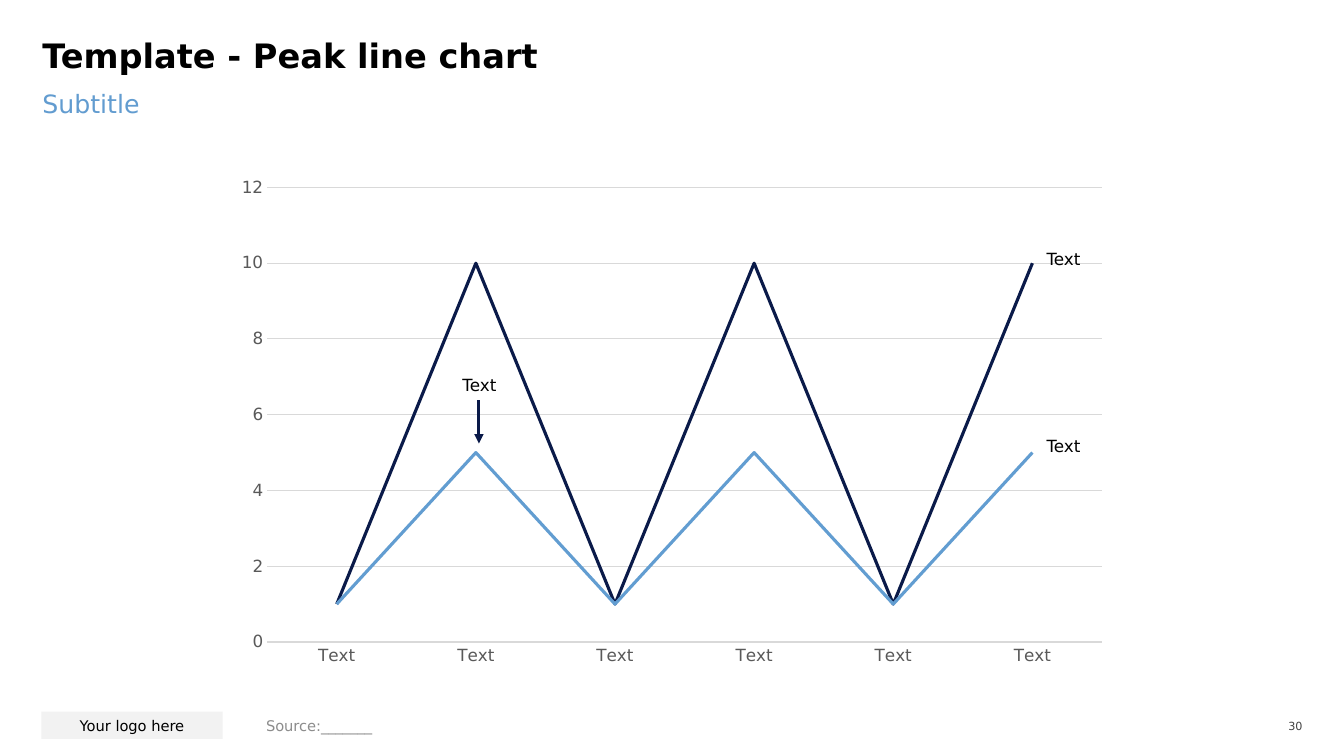
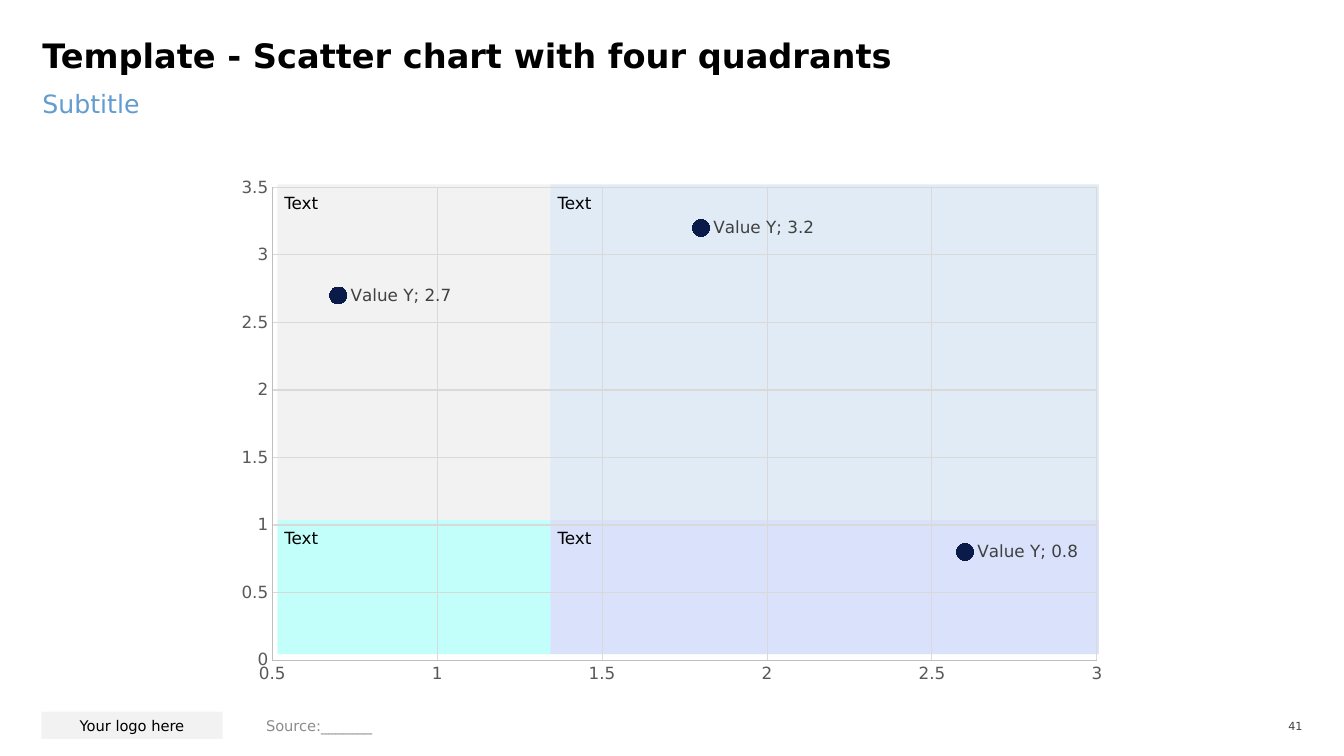
"""Build two chart template slides: a peak line chart and a four-quadrant scatter chart."""
import itertools
from dataclasses import dataclass

import lxml.etree
import pptx
import pptx.chart.axis
import pptx.chart.chart
import pptx.chart.data
import pptx.chart.datalabel
import pptx.dml.color
import pptx.enum.chart
import pptx.enum.shapes
import pptx.enum.text
import pptx.oxml.ns
import pptx.shapes.base
import pptx.slide
import pptx.text.text
import pptx.util

Inches = pptx.util.Inches
Pt = pptx.util.Pt
qn = pptx.oxml.ns.qn
Align = pptx.enum.text.PP_ALIGN
Anchor = pptx.enum.text.MSO_ANCHOR
ChartType = pptx.enum.chart.XL_CHART_TYPE

FONT = "DejaVu Sans"
BLACK = "000000"
NAVY = "0A1A49"
BLUE = "629DD1"
SUBTITLE_BLUE = "629CD0"
PALE_GREY = "F2F2F2"
SOURCE_GREY = "8C8C8C"
DARK_GREY = "404040"
AXIS_GREY = "595959"
GRID_GREY = "D9D9D9"
RULE_GREY = "BFBFBF"


@dataclass(frozen=True)
class Frame:
    """A rectangle on the page, in inches."""

    left: float
    top: float
    width: float
    height: float

    def lengths(self) -> tuple:
        """Return the four measures as lengths."""
        return tuple(Inches(v) for v in (self.left, self.top, self.width, self.height))


@dataclass(frozen=True)
class TextStyle:
    """How a single paragraph looks."""

    size: float
    color: str = BLACK
    bold: bool = False
    align: Align = Align.LEFT
    anchor: Anchor = Anchor.MIDDLE
    inset_x: float = 0
    inset_y: float = 0
    line_spacing: float = 1.0


@dataclass(frozen=True)
class Label:
    """A short text at a place on the page."""

    left: float
    top: float
    align: Align = Align.LEFT


@dataclass(frozen=True)
class Scale:
    """The range and step of an axis."""

    low: float
    high: float
    step: float


@dataclass(frozen=True)
class Band:
    """One column or row of the quadrant grid."""

    start: float
    size: float


TITLE = TextStyle(24, bold=True, anchor=Anchor.TOP, line_spacing=0.8)
SUBTITLE = TextStyle(18, SUBTITLE_BLUE, anchor=Anchor.TOP)
LOGO = TextStyle(10.5, align=Align.CENTER, inset_x=0.1, inset_y=0.1)
SOURCE = TextStyle(10.5, SOURCE_GREY, inset_x=0.1, inset_y=0.05)
PAGE_NUMBER = TextStyle(8, DARK_GREY, align=Align.RIGHT)


def rgb(color: str) -> pptx.dml.color.RGBColor:
    """Turn a hex string into a colour."""
    return pptx.dml.color.RGBColor.from_string(color)


def style_font(font: pptx.text.text.Font, size: float, color: str, bold: bool = False) -> None:
    """Set the face, size, weight and colour of a font."""
    font.name = FONT
    font.size = Pt(size)
    font.bold = bold
    font.color.rgb = rgb(color)


def write(box: pptx.shapes.base.BaseShape, text: str, style: TextStyle) -> None:
    """Write one paragraph into a shape."""
    frame = box.text_frame
    frame.word_wrap = True
    frame.auto_size = pptx.enum.text.MSO_AUTO_SIZE.NONE
    frame.vertical_anchor = style.anchor
    frame.margin_left = frame.margin_right = Inches(style.inset_x)
    frame.margin_top = frame.margin_bottom = Inches(style.inset_y)
    para = frame.paragraphs[0]
    para.alignment = style.align
    para.line_spacing = style.line_spacing
    para.space_before = Pt(0)
    span = para.add_run()
    span.text = text
    style_font(span.font, style.size, style.color, style.bold)


def add_text(page: pptx.slide.Slide, frame: Frame, text: str, style: TextStyle) -> None:
    """Add a text box."""
    write(page.shapes.add_textbox(*frame.lengths()), text, style)


def add_label(page: pptx.slide.Slide, label: Label) -> None:
    """Add a short chart label."""
    add_text(page, Frame(label.left, label.top, 1.47, 0.2), "Text", TextStyle(12, align=label.align))


def add_panel(page: pptx.slide.Slide, frame: Frame, color: str) -> pptx.shapes.base.BaseShape:
    """Add a plain filled rectangle."""
    panel = page.shapes.add_shape(pptx.enum.shapes.MSO_SHAPE.RECTANGLE, *frame.lengths())
    panel.shadow.inherit = False
    panel.fill.solid()
    panel.fill.fore_color.rgb = rgb(color)
    panel.line.fill.background()
    return panel


def fill_placeholder(box: pptx.shapes.base.BaseShape, frame: Frame, text: str, style: TextStyle) -> None:
    """Move a placeholder and write into it."""
    box.left, box.top, box.width, box.height = frame.lengths()
    write(box, text, style)


def add_page(deck: pptx.Presentation, title: str, number: int) -> pptx.slide.Slide:
    """Add a page with its title, subtitle and footer."""
    page = deck.slides.add_slide(deck.slide_layouts[1])
    fill_placeholder(page.shapes.title, Frame(0.42, 0.42, 12.49, 0.53), title, TITLE)
    body = page.placeholders[1]
    properties = body.text_frame.paragraphs[0]._p.get_or_add_pPr()
    properties.set("marL", "0")
    properties.set("indent", "0")
    lxml.etree.SubElement(properties, qn("a:buNone"))
    fill_placeholder(body, Frame(0.42, 0.88, 12.49, 0.63), "Subtitle", SUBTITLE)
    write(add_panel(page, Frame(0.41, 7.06, 1.8, 0.27), PALE_GREY), "Your logo here", LOGO)
    add_text(page, Frame(2.54, 7.07, 6.39, 0.26), "Source:_______", SOURCE)
    add_text(page, Frame(12.5, 7.09, 0.42, 0.23), str(number), PAGE_NUMBER)
    return page


def place_plot(chart: pptx.chart.chart.Chart, area: Frame, plot: Frame) -> None:
    """Fix the plot area inside the chart and clear both backgrounds."""
    plot_area = chart._chartSpace.chart.plotArea
    for old in plot_area.findall(qn("c:layout")):
        plot_area.remove(old)
    layout = lxml.etree.Element(qn("c:layout"))
    plot_area.insert(0, layout)
    manual = lxml.etree.SubElement(layout, qn("c:manualLayout"))
    settings = {
        "layoutTarget": "inner",
        "xMode": "edge",
        "yMode": "edge",
        "x": (plot.left - area.left) / area.width,
        "y": (plot.top - area.top) / area.height,
        "w": plot.width / area.width,
        "h": plot.height / area.height,
    }
    for tag, value in settings.items():
        lxml.etree.SubElement(manual, qn(f"c:{tag}")).set("val", str(value))
    for anchor in (plot_area[-1], chart._chartSpace.chart):
        properties = lxml.etree.Element(qn("c:spPr"))
        lxml.etree.SubElement(properties, qn("a:noFill"))
        line = lxml.etree.SubElement(properties, qn("a:ln"))
        lxml.etree.SubElement(line, qn("a:noFill"))
        anchor.addnext(properties)


def add_chart(page: pptx.slide.Slide, kind: ChartType, area: Frame, plot: Frame,
              data: pptx.chart.data.ChartData) -> pptx.chart.chart.Chart:
    """Add a chart without title or legend."""
    chart = page.shapes.add_chart(kind, *area.lengths(), data).chart
    chart.has_title = False
    chart.has_legend = False
    style_font(chart.font, 10, BLACK)
    chart.plots[0].vary_by_categories = False
    place_plot(chart, area, plot)
    return chart


def style_axis(axis: pptx.chart.axis._BaseAxis, line: str | None, scale: Scale | None) -> None:
    """Style an axis, with gridlines when it has a scale."""
    axis.major_tick_mark = axis.minor_tick_mark = pptx.enum.chart.XL_TICK_MARK.NONE
    style_font(axis.tick_labels.font, 12, AXIS_GREY)
    if line:
        axis.format.line.color.rgb = rgb(line)
        axis.format.line.width = Pt(0.75)
    else:
        axis.format.line.fill.background()
    axis.has_major_gridlines = scale is not None
    if scale:
        axis.minimum_scale, axis.maximum_scale, axis.major_unit = scale.low, scale.high, scale.step
        axis.tick_labels.number_format = "General"
        axis.tick_labels.number_format_is_linked = False
        axis.major_gridlines.format.line.color.rgb = rgb(GRID_GREY)
        axis.major_gridlines.format.line.width = Pt(0.75)


def add_arrow(page: pptx.slide.Slide, x: float, top: float, bottom: float) -> None:
    """Add an arrow pointing down."""
    arrow = page.shapes.add_connector(pptx.enum.shapes.MSO_CONNECTOR.STRAIGHT,
                                      Inches(x), Inches(top), Inches(x), Inches(bottom))
    arrow.line.color.rgb = rgb(NAVY)
    arrow.line.width = Pt(2.25)
    lxml.etree.SubElement(arrow.line._get_or_add_ln(), qn("a:tailEnd")).set("type", "triangle")
    lxml.etree.SubElement(arrow._element.spPr, qn("a:effectLst"))


def build_line_page(deck: pptx.Presentation) -> None:
    """Build the peak line chart page."""
    page = add_page(deck, "Template - Peak line chart", 30)
    data = pptx.chart.data.CategoryChartData()
    data.categories = ["Text"] * 6
    data.add_series("Series 1", [1, 10] * 3)
    data.add_series("Series 2", [1, 5] * 3)
    chart = add_chart(page, ChartType.LINE, Frame(2.22, 1.66, 8.89, 5.05),
                      Frame(2.65, 1.86, 8.28, 4.51), data)
    style_axis(chart.category_axis, GRID_GREY, None)
    style_axis(chart.value_axis, None, Scale(0, 12, 2))
    for series, color in zip(chart.plots[0].series, (NAVY, BLUE)):
        series.smooth = False
        series.marker.style = pptx.enum.chart.XL_MARKER_STYLE.NONE
        series.format.line.color.rgb = rgb(color)
        series.format.line.width = Pt(2.25)
    for label in (Label(10.38, 2.47), Label(10.38, 4.32), Label(4.02, 3.72, Align.CENTER)):
        add_label(page, label)
    add_arrow(page, 4.75, 3.97, 4.4)


def build_scatter_page(deck: pptx.Presentation) -> None:
    """Build the four-quadrant scatter chart page."""
    page = add_page(deck, "Template - Scatter chart with four quadrants", 41)
    columns = (Band(2.75, 2.72), Band(5.46, 5.44))
    rows = (Band(1.83, 3.33), Band(5.16, 1.33))
    quadrants = list(itertools.product(rows, columns))
    for (row, column), color in zip(quadrants, (PALE_GREY, "E0EBF6", "C3FFFA", "D9E2FA")):
        add_panel(page, Frame(column.start, row.start, column.size, row.size), color)
    data = pptx.chart.data.XyChartData()
    values = data.add_series("Value Y")
    for x, y in ((0.7, 2.7), (1.8, 3.2), (2.6, 0.8)):
        values.add_data_point(x, y)
    chart = add_chart(page, ChartType.XY_SCATTER, Frame(2.22, 1.66, 8.89, 5.24),
                      Frame(2.7, 1.86, 8.18, 4.69), data)
    style_axis(chart.category_axis, RULE_GREY, Scale(0.5, 3, 0.5))
    style_axis(chart.value_axis, RULE_GREY, Scale(0, 3.5, 0.5))
    series = chart.plots[0].series[0]
    series.format.line.fill.background()
    series.marker.style = pptx.enum.chart.XL_MARKER_STYLE.CIRCLE
    series.marker.size = 12
    series.marker.format.fill.solid()
    series.marker.format.fill.fore_color.rgb = rgb(NAVY)
    series.marker.format.line.color.rgb = rgb(NAVY)
    label_xml = series._element.get_or_add_dLbls()
    labels = pptx.chart.datalabel.DataLabels(label_xml)
    labels.show_value = labels.show_series_name = True
    labels.position = pptx.enum.chart.XL_LABEL_POSITION.RIGHT
    style_font(labels.font, 12, DARK_GREY)
    separator = lxml.etree.Element(qn("c:separator"))
    separator.text = "; "
    label_xml.find(qn("c:showBubbleSize")).addnext(separator)
    for row, column in quadrants:
        add_label(page, Label(column.start + 0.07, row.start + 0.08))


def main() -> None:
    """Build and save the deck."""
    deck = pptx.Presentation()
    deck.slide_width, deck.slide_height = Inches(13.33), Inches(7.5)
    build_line_page(deck)
    build_scatter_page(deck)
    deck.save("out.pptx")


if __name__ == "__main__":
    main()
